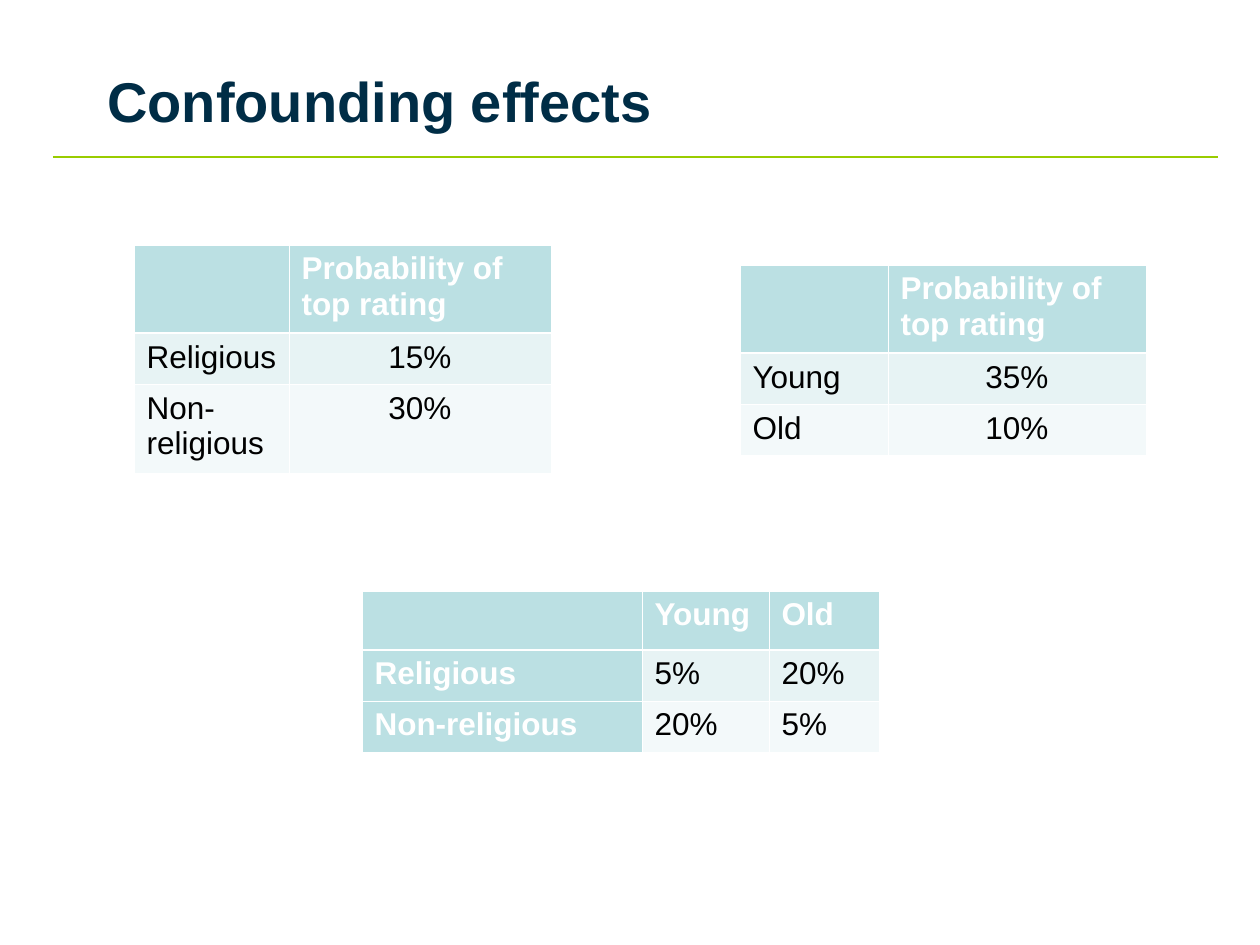
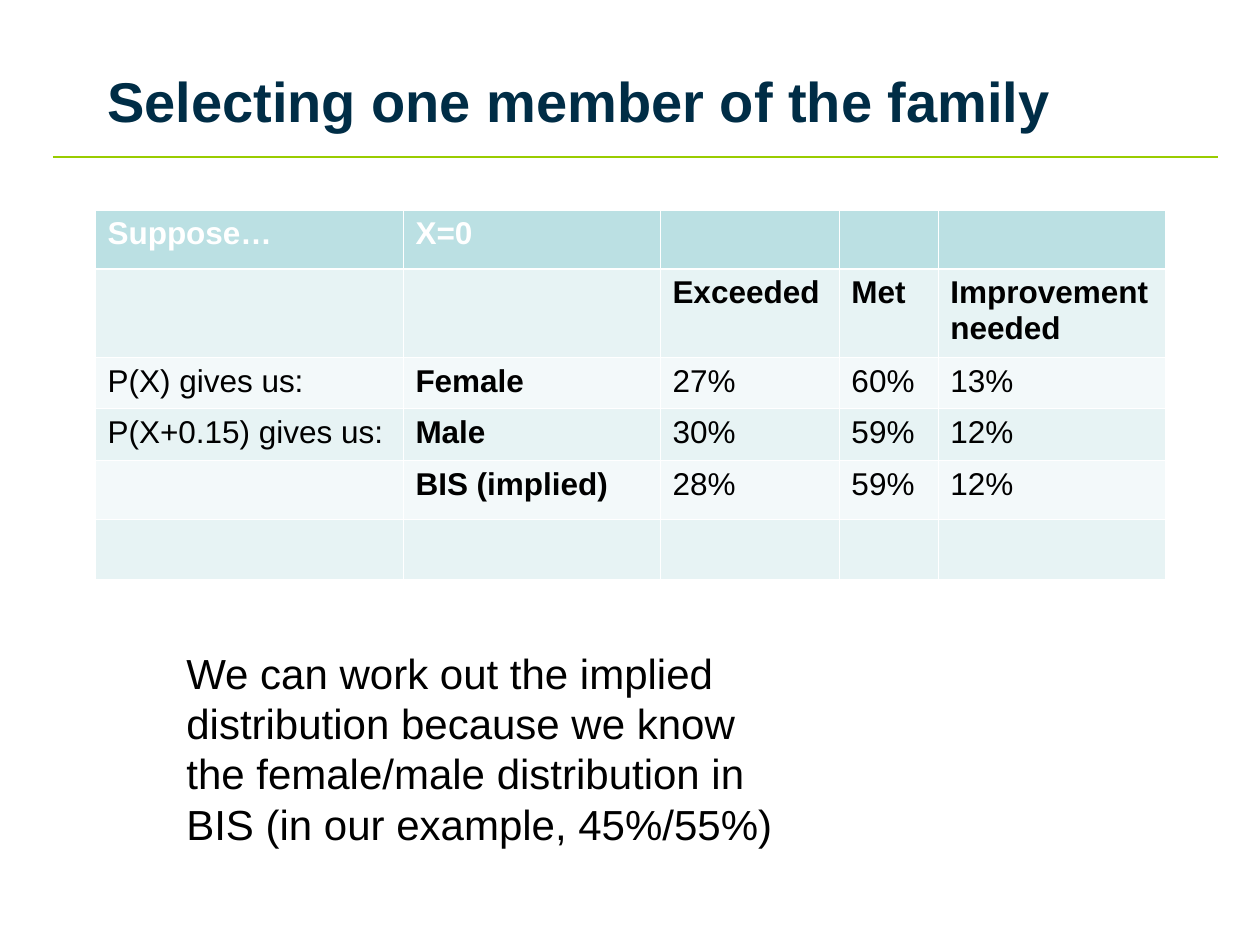
import pptx
import pptx.util
import pptx.dml.color
import pptx.enum.shapes
import pptx.enum.text
import pptx.oxml
import pptx.oxml.ns
from lxml import etree

# Content: lengths in px; header_cols, bold_cols and centred are column indexes
SLIDES = [
    {
        "title": "Confounding effects",
        "tables": [
            {
                "at": (134, 245), "cols": (155, 262), "rows": (88, 51, 89),
                "centred": {1},
                "cells": [
                    ("", "Probability of top rating"),
                    ("Religious", "15%"),
                    ("Non-religious", "30%"),
                ],
            },
            {
                "at": (740, 265), "cols": (148, 258), "rows": (87, 51, 51),
                "centred": {1},
                "cells": [
                    ("", "Probability of top rating"),
                    ("Young", "35%"),
                    ("Old", "10%"),
                ],
            },
            {
                "at": (362, 591), "cols": (280, 127, 110), "rows": (59, 51, 51),
                "header_cols": {0},
                "cells": [
                    ("", "Young", "Old"),
                    ("Religious", "5%", "20%"),
                    ("Non-religious", "20%", "5%"),
                ],
            },
        ],
    },
    {
        "title": "Selecting one member of the family",
        "tables": [
            {
                "at": (95, 210), "cols": (308, 257, 179, 99, 228),
                "rows": (59, 88, 51, 52, 59, 60),
                "bold_cols": {1}, "bold_rows": {1},
                "cells": [
                    ("Suppose…", "X=0", "", "", ""),
                    ("", "", "Exceeded", "Met", "Improvement needed"),
                    ("P(X) gives us:", "Female", "27%", "60%", "13%"),
                    ("P(X+0.15) gives us:", "Male", "30%", "59%", "12%"),
                    ("", "BIS (implied)", "28%", "59%", "12%"),
                    ("", "", "", "", ""),
                ],
            },
        ],
        "note": "We can work out the implied distribution because we know the "
                "female/male distribution in BIS (in our example, 45%/55%)",
    },
]

# Shared look
COLOURS = {"title": "002D46", "rule": "99CC00", "header": "BBE0E3",
           "band_dark": "E7F3F4", "band_light": "F3F9FA",
           "white": "FFFFFF", "black": "000000"}
TITLE_BOX = (95, 21, 1071, 158)
NOTE_BOX = (174, 641, 615, 214)
RULE = (53, 157, 1218, 157)
THIN, THICK = 0.45, 1.47
FORMATS = {
    "title": {"size": 32, "bold": True, "colour": "title"},
    "note": {"size": 24, "bold": False, "colour": "black"},
    "header": {"size": 18, "bold": True, "colour": "white"},
    "strong": {"size": 18, "bold": True, "colour": "black"},
    "body": {"size": 18, "bold": False, "colour": "black"},
}


def px(n):
    return pptx.util.Emu(round(n * 914400 / 126))


def rgb(name):
    return pptx.dml.color.RGBColor.from_string(COLOURS[name])


def write(tf, text, style):
    fmt = FORMATS[style]
    p = tf.paragraphs[0]
    r = p.add_run()
    r.text = text
    values = {"name": "Arial", "size": pptx.util.Pt(fmt["size"]), "bold": fmt["bold"]}
    for key, value in values.items():
        setattr(r.font, key, value)
    r.font.color.rgb = rgb(fmt["colour"])
    return p


def add_text(s, box, text, style, anchor):
    tf = s.shapes.add_textbox(*map(px, box)).text_frame
    tf.word_wrap = True
    tf.vertical_anchor = anchor
    write(tf, text, style)


def add_rule(s):
    line = s.shapes.add_connector(pptx.enum.shapes.MSO_CONNECTOR.STRAIGHT, *map(px, RULE))
    line.line.color.rgb = rgb("rule")
    line.line.width = pptx.util.Pt(0.75)
    etree.SubElement(line._element.spPr, pptx.oxml.ns.qn("a:effectLst"))


def add_borders(cell, row):
    # The edge between the header and the first body row is thick
    widths = {"L": THIN, "R": THIN,
              "T": THICK if row == 1 else THIN,
              "B": THICK if row == 0 else THIN}
    tc_pr = cell._tc.get_or_add_tcPr()
    for side, width in widths.items():
        tc_pr.append(pptx.oxml.parse_xml(
            f'<a:ln{side} {pptx.oxml.ns.nsdecls("a")} w="{pptx.util.Pt(width)}">'
            f'<a:solidFill><a:srgbClr val="{COLOURS["white"]}"/></a:solidFill></a:ln{side}>'))


def add_grid(s, spec):
    cols, rows = spec["cols"], spec["rows"]
    box = (*spec["at"], sum(cols), sum(rows))
    table = s.shapes.add_table(len(rows), len(cols), *map(px, box)).table
    table.horz_banding = False
    for column, width in zip(table.columns, cols):
        column.width = px(width)
    for row, height in zip(table.rows, rows):
        row.height = px(height)

    for i, texts in enumerate(spec["cells"]):
        for j, text in enumerate(texts):
            cell = table.cell(i, j)
            header = i == 0 or j in spec.get("header_cols", ())
            strong = i in spec.get("bold_rows", ()) or j in spec.get("bold_cols", ())
            add_borders(cell, i)
            cell.fill.solid()
            cell.fill.fore_color.rgb = rgb(
                "header" if header else "band_dark" if i % 2 else "band_light")
            if text:
                style = "header" if header else "strong" if strong else "body"
                p = write(cell.text_frame, text, style)
                if i and j in spec.get("centred", ()):
                    p.alignment = pptx.enum.text.PP_ALIGN.CENTER


def main():
    prs = pptx.Presentation()
    prs.slide_width, prs.slide_height = px(1260), px(945)
    for content in SLIDES:
        s = prs.slides.add_slide(prs.slide_layouts[6])
        add_rule(s)
        add_text(s, TITLE_BOX, content["title"], "title", pptx.enum.text.MSO_ANCHOR.MIDDLE)
        for spec in content["tables"]:
            add_grid(s, spec)
        if "note" in content:
            add_text(s, NOTE_BOX, content["note"], "note", pptx.enum.text.MSO_ANCHOR.TOP)
    prs.save("out.pptx")


if __name__ == "__main__":
    main()
